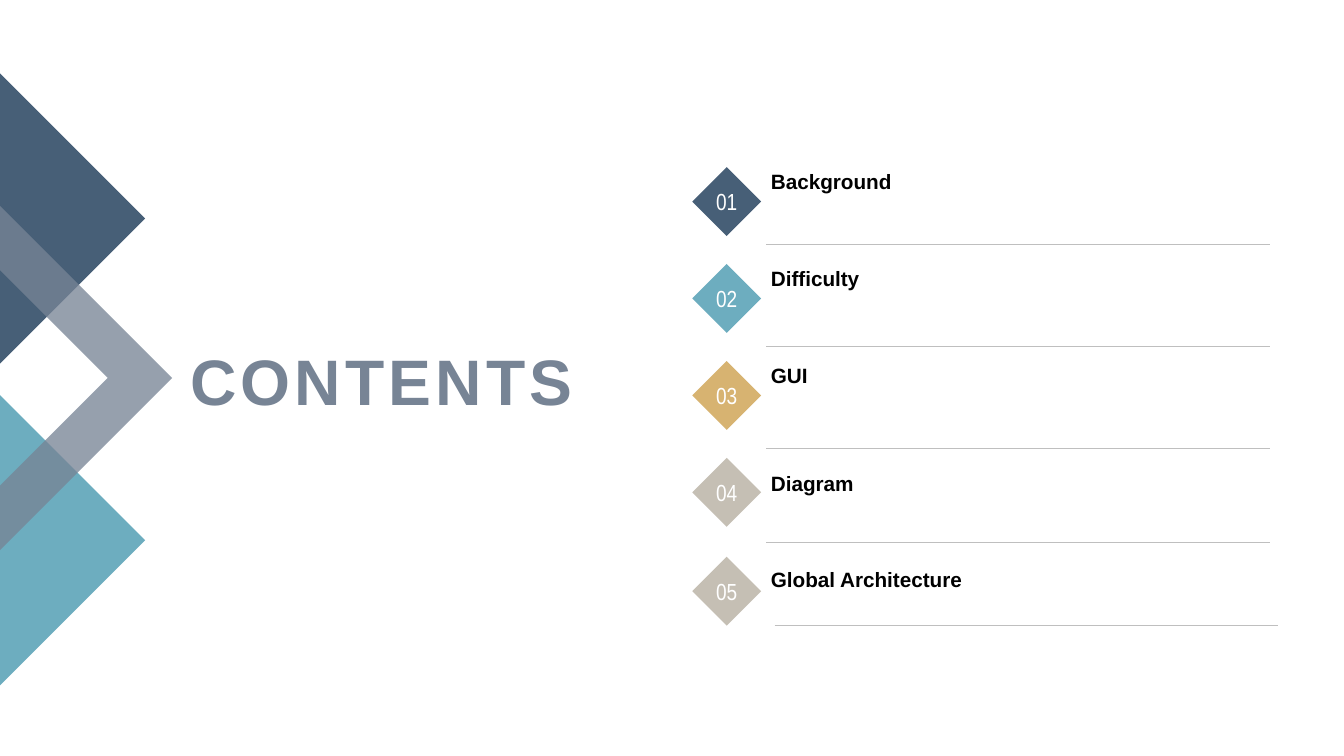
from dataclasses import dataclass

from lxml.etree import SubElement
from pptx import Presentation
from pptx.dml.color import RGBColor
from pptx.enum.shapes import MSO_CONNECTOR, MSO_SHAPE
from pptx.enum.text import MSO_ANCHOR, PP_ALIGN
from pptx.oxml.ns import qn
from pptx.shapes.autoshape import Shape
from pptx.shapes.shapetree import SlideShapes
from pptx.text.text import TextFrame
from pptx.util import Pt


@dataclass(frozen=True)
class Theme:
    navy: str = "475F77"
    teal: str = "6DADBF"
    gold: str = "D7B371"
    sand: str = "C5BFB4"
    slate: str = "778495"
    rule: str = "BFBFBF"
    white: str = "FFFFFF"
    black: str = "000000"
    sans: str = "Arial"
    narrow: str = "Arial Narrow"
    title: float = 45.9
    number: float = 16.6
    label: float = 14.8


@dataclass(frozen=True)
class Band:
    points: tuple[tuple[float, float], ...]
    fill: str
    alpha: int = 100


@dataclass(frozen=True)
class Topic:
    name: str
    fill: str
    top: float
    label: float
    rule: float
    left: float = 547.2


THEME = Theme()
BANDS = (
    Band(((0, 489.6), (0, 282.2), (103.7, 385.9)), THEME.teal),
    Band(((0, 52.4), (103.7, 156.1), (0, 259.8)), THEME.navy),
    Band(((123, 270), (0, 393), (0, 347), (77, 270), (0, 193), (0, 147)),
         THEME.slate, 77),
)
TOPICS = (
    Topic("Background", THEME.navy, 119.4, 118, 174.5),
    Topic("Difficulty", THEME.teal, 188.6, 187.3, 247.2),
    Topic("GUI", THEME.gold, 257.9, 256.8, 320),
    Topic("Diagram", THEME.sand, 327.1, 333.5, 387.4),
    Topic("Global Architecture", THEME.sand, 397.7, 402.4, 446.6, 553.4),
)
SIDE = 49.2


def paint(shape: Shape, fill: str) -> None:
    """Give a shape a plain fill with no outline or shadow."""
    shape.shadow.inherit = False
    shape.fill.solid()
    shape.fill.fore_color.rgb = RGBColor.from_string(fill)
    shape.line.fill.background()


def write(frame: TextFrame, text: str, size: float, face: str, color: str,
          align: PP_ALIGN, anchor: MSO_ANCHOR, bold: bool = False,
          wrap: bool = True) -> None:
    """Set one styled paragraph in a text frame."""
    frame.word_wrap = wrap
    frame.vertical_anchor = anchor
    line = frame.paragraphs[0]
    line.text = text
    line.alignment = align
    line.font.size = Pt(size)
    line.font.name = face
    line.font.bold = bold
    line.font.color.rgb = RGBColor.from_string(color)


def add_band(shapes: SlideShapes, band: Band) -> None:
    """Draw one angular band at the left edge."""
    first, *rest = [(Pt(x), Pt(y)) for x, y in band.points]
    pen = shapes.build_freeform(*first)
    pen.add_line_segments(rest, close=True)
    shape = pen.convert_to_shape()
    paint(shape, band.fill)
    if band.alpha < 100:
        tint = shape.element.spPr.find(f"{qn('a:solidFill')}/{qn('a:srgbClr')}")
        SubElement(tint, qn("a:alpha"), val=str(band.alpha * 1000))


def add_title(shapes: SlideShapes) -> None:
    """Write the widely spaced slide title."""
    box = shapes.add_textbox(Pt(121.7), Pt(234.7), Pt(294.5), Pt(72.7))
    write(box.text_frame, "CONTENTS", THEME.title, THEME.sans, THEME.slate,
          PP_ALIGN.RIGHT, MSO_ANCHOR.MIDDLE, bold=True)
    run = box.text_frame.paragraphs[0].runs[0]
    run.font._element.set("spc", "300")


def add_topic(shapes: SlideShapes, index: int, topic: Topic) -> None:
    """Draw a numbered diamond with its label and rule."""
    gem = shapes.add_shape(MSO_SHAPE.DIAMOND, Pt(494.5), Pt(topic.top),
                           Pt(SIDE), Pt(SIDE))
    paint(gem, topic.fill)
    write(gem.text_frame, f"{index:02}", THEME.number, THEME.narrow,
          THEME.white, PP_ALIGN.CENTER, MSO_ANCHOR.MIDDLE, wrap=False)
    box = shapes.add_textbox(Pt(543.6), Pt(topic.label), Pt(311.8), Pt(23.8))
    write(box.text_frame, topic.name, THEME.label, THEME.sans, THEME.black,
          PP_ALIGN.LEFT, MSO_ANCHOR.BOTTOM, bold=True)
    rule = shapes.add_connector(MSO_CONNECTOR.STRAIGHT, Pt(topic.left),
                                Pt(topic.rule), Pt(topic.left + 359.8),
                                Pt(topic.rule))
    rule.line.width = Pt(0.25)
    rule.line.color.rgb = RGBColor.from_string(THEME.rule)
    SubElement(rule.element.spPr, qn("a:effectLst"))


def main() -> None:
    """Build and save the contents slide."""
    deck = Presentation()
    deck.slide_width, deck.slide_height = Pt(960), Pt(540)
    shapes = deck.slides.add_slide(deck.slide_layouts[6]).shapes
    for band in BANDS:
        add_band(shapes, band)
    add_title(shapes)
    for index, topic in enumerate(TOPICS, 1):
        add_topic(shapes, index, topic)
    deck.save("out.pptx")


if __name__ == "__main__":
    main()
